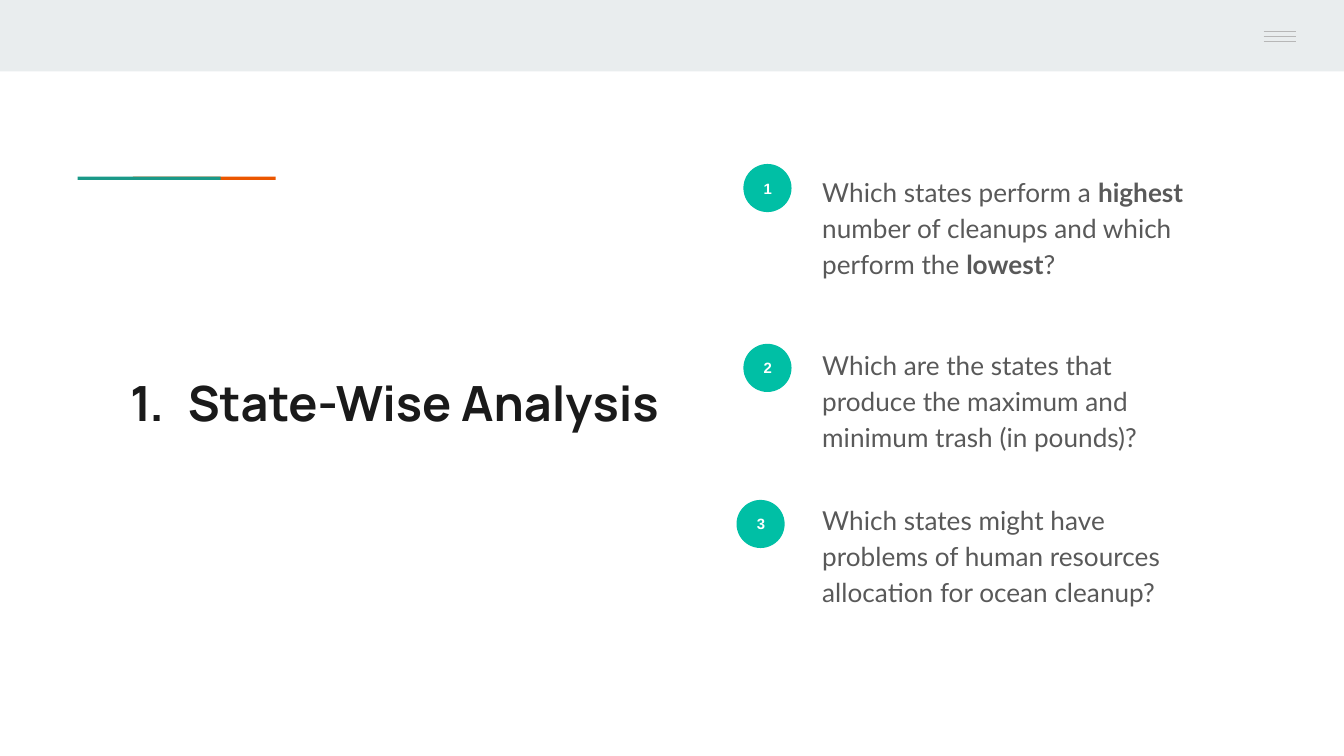
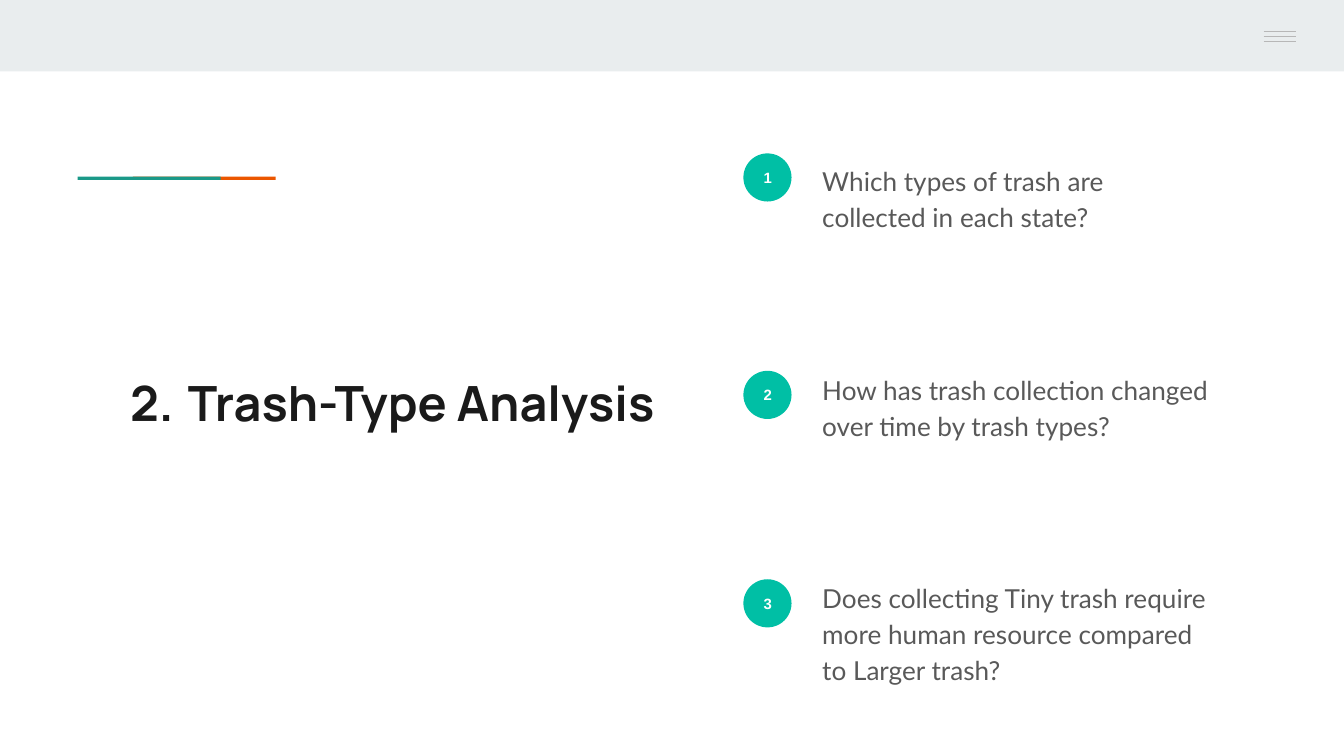
"""Build two section slides, each with a numbered title and three questions."""
from lxml import etree
from pptx import Presentation
from pptx.dml.color import RGBColor
from pptx.enum.shapes import MSO_CONNECTOR, MSO_SHAPE
from pptx.enum.text import MSO_ANCHOR, PP_ALIGN
from pptx.oxml.ns import qn
from pptx.util import Cm, Pt

RECTANGLE, OVAL = MSO_SHAPE.RECTANGLE, MSO_SHAPE.OVAL
STRAIGHT = MSO_CONNECTOR.STRAIGHT
CENTER, MIDDLE = PP_ALIGN.CENTER, MSO_ANCHOR.MIDDLE

BAND = RGBColor(0xE9, 0xED, 0xEE)
MENU = RGBColor(0xB7, 0xB7, 0xB7)
ORANGE = RGBColor(0xEB, 0x56, 0x00)
GREEN = RGBColor(0x1A, 0x99, 0x88)
TEAL = RGBColor(0x00, 0xBF, 0xA5)
INK = RGBColor(0x1A, 0x1A, 0x1A)
GRAY = RGBColor(0x59, 0x59, 0x59)
WHITE = RGBColor(0xFF, 0xFF, 0xFF)

SLIDE_WIDTH, SLIDE_HEIGHT = 25.4, 14.29
INSET = 0.25
BADGE_SIZE = 0.91

# Each question: badge left, badge top, text top, runs as (text, bold).
SECTIONS = [
    ("State-Wise Analysis", [
        (14.05, 3.1, 3.0, [("Which states perform a ", False), ("highest ", True),
                           ("number of cleanups and which perform the ", False),
                           ("lowest", True), ("?", False)]),
        (14.05, 6.5, 6.27, [("Which are the states that produce the maximum "
                             "and minimum trash (in pounds)?", False)]),
        (13.92, 9.45, 9.19, [("Which states might have problems of human resources "
                              "allocation for ocean cleanup?", False)]),
    ]),
    ("Trash-Type Analysis", [
        (14.05, 2.9, 2.79, [("Which types of trash are collected in each state?", False)]),
        (14.05, 7.01, 6.73, [("How has trash collection changed over time "
                              "by trash types?", False)]),
        (14.05, 10.95, 10.67, [("Does collecting Tiny trash require more human resource "
                                "compared to Larger trash?", False)]),
    ]),
]


def add_filled(slide, kind, left, top, width, height, color):
    shape = slide.shapes.add_shape(kind, Cm(left), Cm(top), Cm(width), Cm(height))
    shape.shadow.inherit = False
    shape.fill.solid()
    shape.fill.fore_color.rgb = color
    shape.line.fill.background()
    return shape


def set_insets(text_frame):
    text_frame.word_wrap = True
    text_frame.margin_left = text_frame.margin_right = Cm(INSET)
    text_frame.margin_top = text_frame.margin_bottom = Cm(INSET)


def style_run(run, font_name, size, color, bold):
    run.font.name = font_name
    run.font.size = Pt(size)
    run.font.color.rgb = color
    run.font.bold = bold


def add_text_box(slide, left, top, width, height):
    text_frame = slide.shapes.add_textbox(Cm(left), Cm(top), Cm(width), Cm(height)).text_frame
    set_insets(text_frame)
    return text_frame.paragraphs[0]


def add_frame(slide):
    add_filled(slide, RECTANGLE, 0, 0, SLIDE_WIDTH, 1.35, BAND)
    for left, color in ((2.51, ORANGE), (1.47, GREEN)):
        add_filled(slide, RECTANGLE, left, 3.34, 2.7, 0.06, color)
    for index in range(3):
        top = Cm(0.6 + 0.09 * index)
        line = slide.shapes.add_connector(STRAIGHT, Cm(23.88), top, Cm(24.49), top)
        line.line.color.rgb = MENU
        line.line.width = Pt(0.75)
        etree.SubElement(line._element.spPr, qn("a:effectLst"))


def add_title(slide, number, title):
    paragraph = add_text_box(slide, 2.03, 6.81, 21.36, 1.5)
    paragraph.text = title
    properties = paragraph._p.get_or_add_pPr()
    properties.set("marL", str(Cm(1.27)))
    properties.set("indent", str(Cm(-1.09)))
    bullet_color = etree.SubElement(properties, qn("a:buClr"))
    etree.SubElement(bullet_color, qn("a:srgbClr"), val=str(INK))
    etree.SubElement(properties, qn("a:buFont"), typeface="Manrope")
    etree.SubElement(properties, qn("a:buAutoNum"), type="arabicPeriod", startAt=str(number))
    style_run(paragraph.runs[0], "Manrope", 26, INK, True)


def add_question(slide, number, badge_left, badge_top, text_top, runs):
    badge = add_filled(slide, OVAL, badge_left, badge_top, BADGE_SIZE, BADGE_SIZE, TEAL)
    text_frame = badge.text_frame
    set_insets(text_frame)
    text_frame.text = str(number)
    text_frame.vertical_anchor = MIDDLE
    text_frame.paragraphs[0].alignment = CENTER
    style_run(text_frame.paragraphs[0].runs[0], "Arial", 8, WHITE, True)

    paragraph = add_text_box(slide, 15.29, text_top, 7.87, 2.92)
    paragraph.line_spacing = 1.15
    for text, bold in runs:
        run = paragraph.add_run()
        run.text = text
        style_run(run, "Lato", 14, GRAY, bold)


def main():
    presentation = Presentation()
    presentation.slide_width = Cm(SLIDE_WIDTH)
    presentation.slide_height = Cm(SLIDE_HEIGHT)
    for section_number, (title, questions) in enumerate(SECTIONS, 1):
        slide = presentation.slides.add_slide(presentation.slide_layouts[6])
        add_frame(slide)
        add_title(slide, section_number, title)
        for number, question in enumerate(questions, 1):
            add_question(slide, number, *question)
    presentation.save("out.pptx")


if __name__ == "__main__":
    main()
